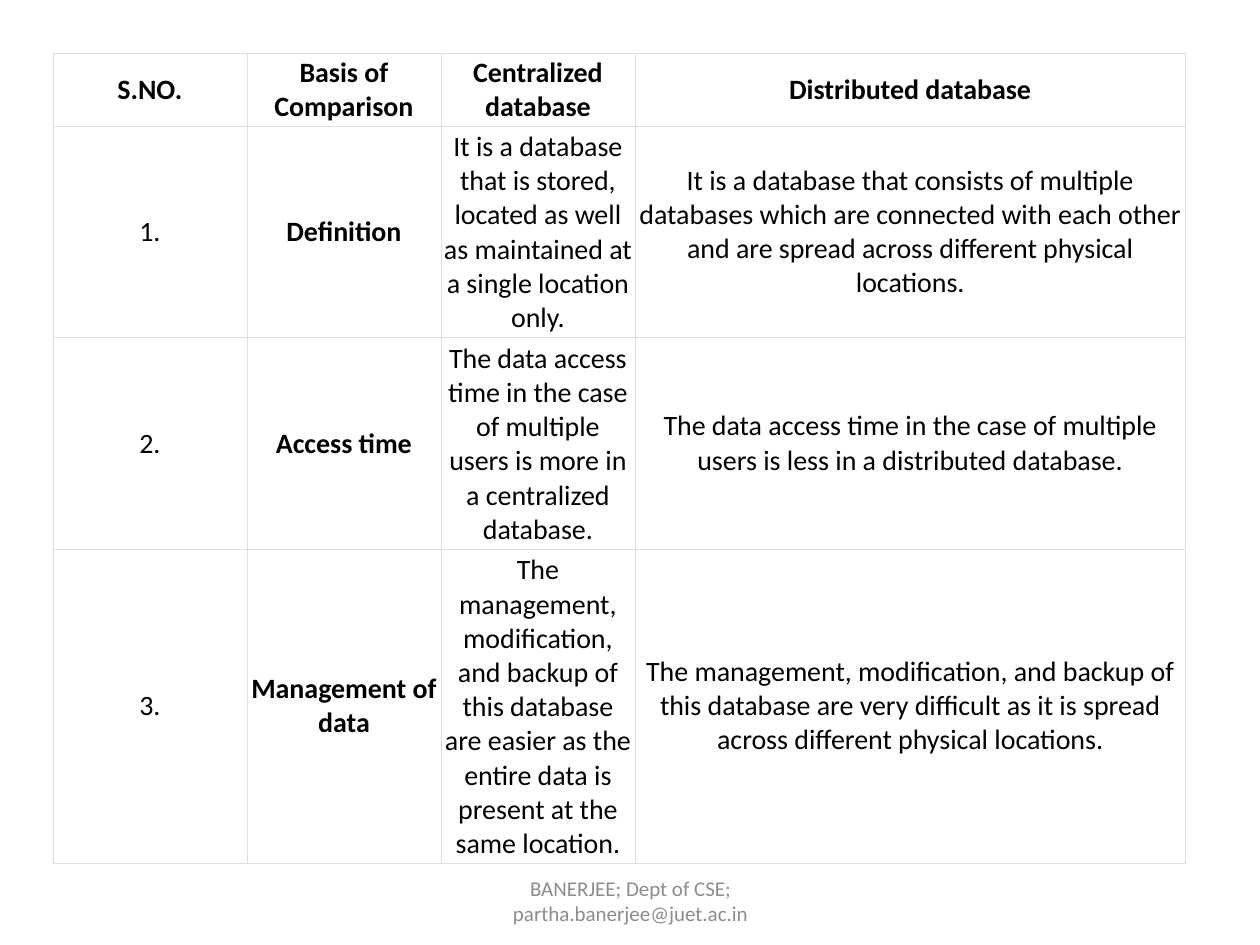
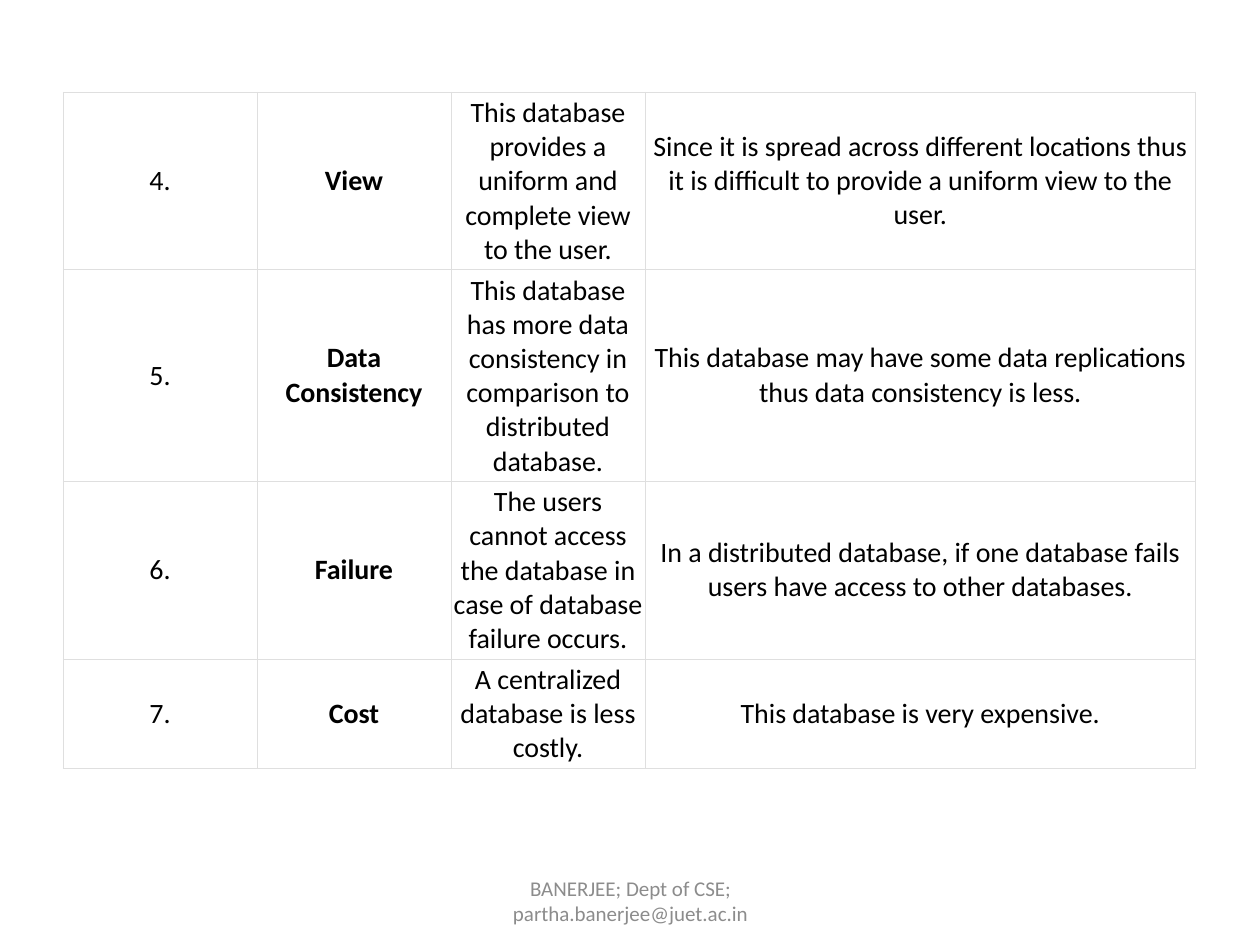
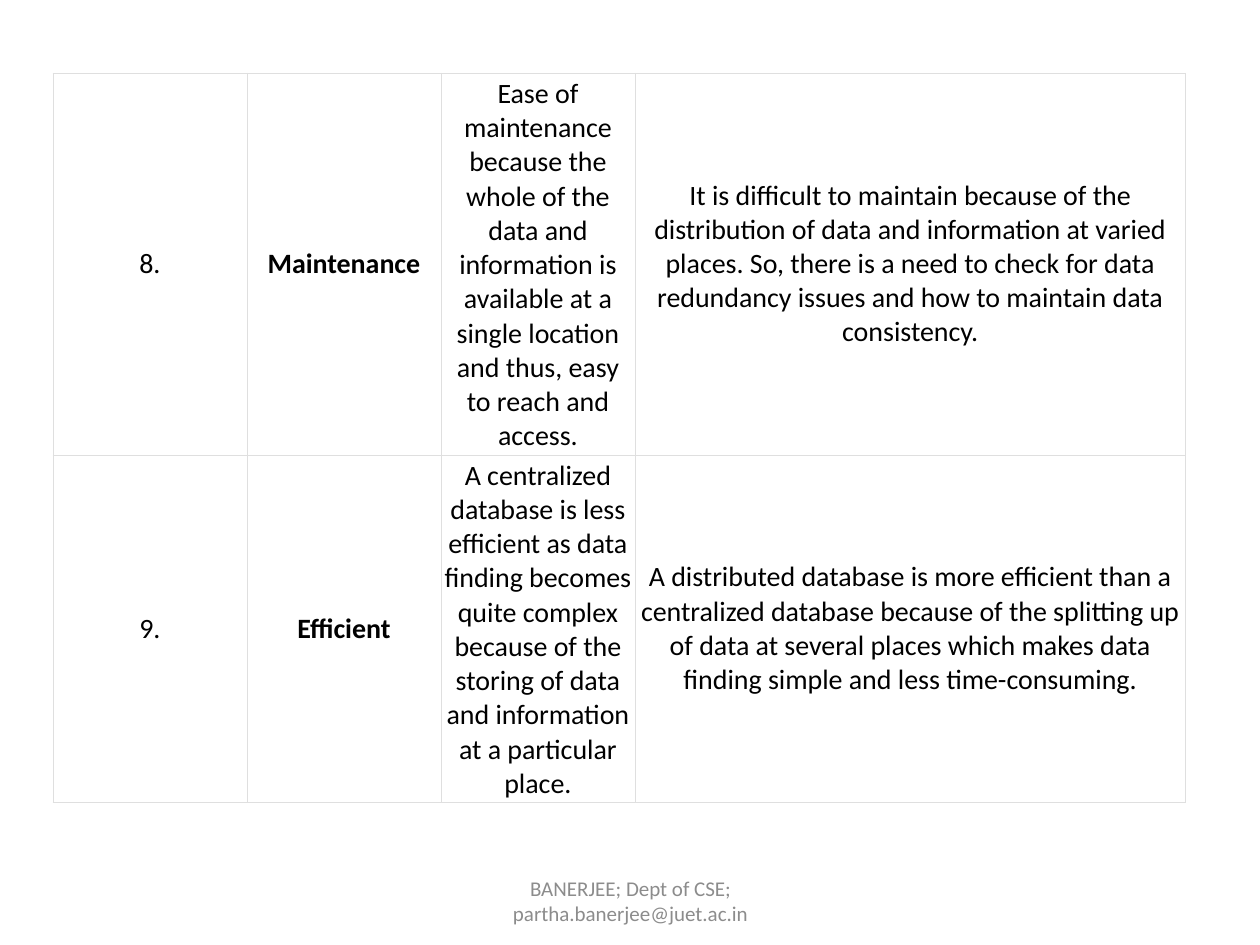
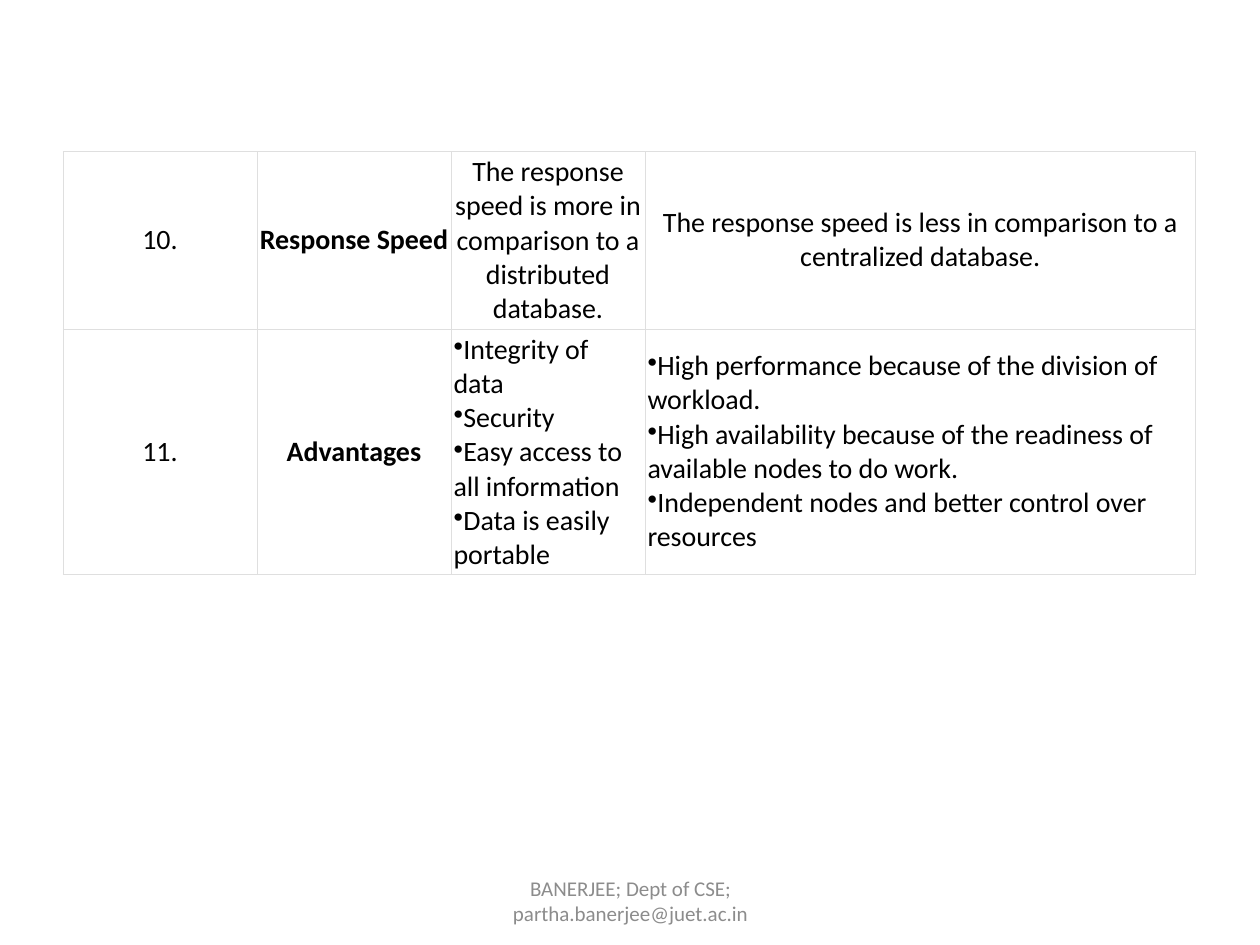
from dataclasses import dataclass

from lxml.etree import SubElement
from pptx import Presentation
from pptx.dml.color import RGBColor
from pptx.enum.text import MSO_ANCHOR, PP_ALIGN
from pptx.oxml import parse_xml
from pptx.oxml.ns import nsdecls, qn
from pptx.slide import Slide
from pptx.table import _Cell
from pptx.text.text import _Paragraph
from pptx.util import Inches, Pt

COLORS = {"text": "000000", "footer": "8C8C8C", "border": "DFDFDF", "cell": "FFFFFF"}
FONT_NAME = "Calibri"
FOOTER_TEXT = "BANERJEE; Dept of CSE; partha.banerjee@juet.ac.in"

COLUMN_WIDTHS = (1.54, 1.54, 1.54, 4.37)
LINE_HEIGHT = 0.27
BASIS_COLUMN = 1
BORDER_WIDTH = Pt(0.23)


@dataclass(frozen=True)
class Row:
    """One table row; a tuple as cell content makes a bulleted list."""
    line_count: int
    cells: tuple[str | tuple[str, ...], ...]
    is_header: bool = False


@dataclass(frozen=True)
class Comparison:
    left: float
    top: float
    rows: tuple[Row, ...]


COMPARISONS = (
    Comparison(0.42, 0.42, (
        Row(2, ("S.NO.", "Basis of Comparison", "Centralized database",
                "Distributed database"), is_header=True),
        Row(6, ("1.", "Definition",
                "It is a database that is stored, located as well as maintained at a "
                "single location only.",
                "It is a database that consists of multiple databases which are connected "
                "with each other and are spread across different physical locations.")),
        Row(6, ("2.", "Access time",
                "The data access time in the case of multiple users is more in a "
                "centralized database.",
                "The data access time in the case of multiple users is less in a "
                "distributed database.")),
        Row(9, ("3.", "Management of data",
                "The management, modification, and backup of this database are easier as "
                "the entire data is present at the same location.",
                "The management, modification, and backup of this database are very "
                "difficult as it is spread across different physical locations.")),
    )),
    Comparison(0.5, 0.73, (
        Row(5, ("4.", "View",
                "This database provides a uniform and complete view to the user.",
                "Since it is spread across different locations thus it is difficult to "
                "provide a uniform view to the user.")),
        Row(6, ("5.", "Data Consistency",
                "This database has more data consistency in comparison to distributed "
                "database.",
                "This database may have some data replications thus data consistency is "
                "less.")),
        Row(5, ("6.", "Failure",
                "The users cannot access the database in case of database failure occurs.",
                "In a distributed database, if one database fails users have access to "
                "other databases.")),
        Row(3, ("7.", "Cost", "A centralized database is less costly.",
                "This database is very expensive.")),
    )),
    Comparison(0.42, 0.58, (
        Row(11, ("8.", "Maintenance",
                 "Ease of maintenance because the whole of the data and information is "
                 "available at a single location and thus, easy to reach and access.",
                 "It is difficult to maintain because of the distribution of data and "
                 "information at varied places. So, there is a need to check for data "
                 "redundancy issues and how to maintain data consistency.")),
        Row(10, ("9.", "Efficient",
                 "A centralized database is less efficient as data finding becomes quite "
                 "complex because of the storing of data and information at a particular "
                 "place.",
                 "A distributed database is more efficient than a centralized database "
                 "because of the splitting up of data at several places which makes data "
                 "finding simple and less time-consuming.")),
    )),
    Comparison(0.5, 1.2, (
        Row(5, ("10.", "Response Speed",
                "The response speed is more in comparison to a distributed database.",
                "The response speed is less in comparison to a centralized database.")),
        Row(7, ("11.", "Advantages",
                ("Integrity of data", "Security", "Easy access to all information",
                 "Data is easily portable"),
                ("High performance because of the division of workload.",
                 "High availability because of the readiness of available nodes to do work.",
                 "Independent nodes and better control over resources"))),
    )),
)


def format_paragraph(paragraph: _Paragraph, text: str, size: int, color: str,
                     bold: bool = False, bulleted: bool = False) -> None:
    if bulleted:
        SubElement(paragraph._p.get_or_add_pPr(), qn("a:buChar")).set("char", "•")
    paragraph.alignment = PP_ALIGN.LEFT if bulleted else PP_ALIGN.CENTER
    run = paragraph.add_run()
    run.text = text
    font_format = {"name": FONT_NAME, "size": Pt(size), "bold": bold}
    for attribute, value in font_format.items():
        setattr(run.font, attribute, value)
    run.font.color.rgb = RGBColor.from_string(COLORS[color])


def style_cell(cell: _Cell, vertical_margin: float) -> None:
    cell_format = {
        "vertical_anchor": MSO_ANCHOR.MIDDLE,
        "margin_left": Inches(0.02),
        "margin_right": Inches(0.02),
        "margin_top": Inches(vertical_margin),
        "margin_bottom": Inches(vertical_margin),
    }
    for attribute, value in cell_format.items():
        setattr(cell, attribute, value)
    cell.fill.solid()
    cell.fill.fore_color.rgb = RGBColor.from_string(COLORS["cell"])
    # Borders come before the fill in the cell properties
    for index, side in enumerate(("lnL", "lnR", "lnT", "lnB")):
        border = parse_xml(
            f'<a:{side} {nsdecls("a")} w="{BORDER_WIDTH}"><a:solidFill>'
            f'<a:srgbClr val="{COLORS["border"]}"/></a:solidFill></a:{side}>')
        cell._tc.get_or_add_tcPr().insert(index, border)


def fill_cell(cell: _Cell, content: str | tuple[str, ...], bold: bool) -> None:
    bulleted = isinstance(content, tuple)
    frame = cell.text_frame
    for index, text in enumerate(content if bulleted else (content,)):
        paragraph = frame.add_paragraph() if index else frame.paragraphs[0]
        format_paragraph(paragraph, text, 16, "text", bold, bulleted)


def add_comparison(slide: Slide, comparison: Comparison) -> None:
    margins = [0.02 if row.is_header else 0.03 for row in comparison.rows]
    heights = [row.line_count * LINE_HEIGHT + 2 * margin
               for row, margin in zip(comparison.rows, margins)]
    table = slide.shapes.add_table(
        len(comparison.rows), len(COLUMN_WIDTHS),
        Inches(comparison.left), Inches(comparison.top),
        Inches(sum(COLUMN_WIDTHS)), Inches(sum(heights))).table
    table.first_row = table.horz_banding = False
    for column, width in zip(table.columns, COLUMN_WIDTHS):
        column.width = Inches(width)
    for row_index, row in enumerate(comparison.rows):
        table.rows[row_index].height = Inches(heights[row_index])
        for column_index, content in enumerate(row.cells):
            cell = table.cell(row_index, column_index)
            style_cell(cell, margins[row_index])
            fill_cell(cell, content, row.is_header or column_index == BASIS_COLUMN)


def add_footer(slide: Slide) -> None:
    footer = slide.shapes.add_textbox(Inches(3.42), Inches(6.95), Inches(3.17), Inches(0.4))
    frame = footer.text_frame
    frame.word_wrap = True
    frame.vertical_anchor = MSO_ANCHOR.MIDDLE
    format_paragraph(frame.paragraphs[0], FOOTER_TEXT, 12, "footer")


def main() -> None:
    presentation = Presentation()
    presentation.slide_width = Inches(10)
    presentation.slide_height = Inches(7.5)
    blank_layout = presentation.slide_layouts[6]
    for comparison in COMPARISONS:
        slide = presentation.slides.add_slide(blank_layout)
        add_footer(slide)
        add_comparison(slide, comparison)
    presentation.save("out.pptx")


if __name__ == "__main__":
    main()
